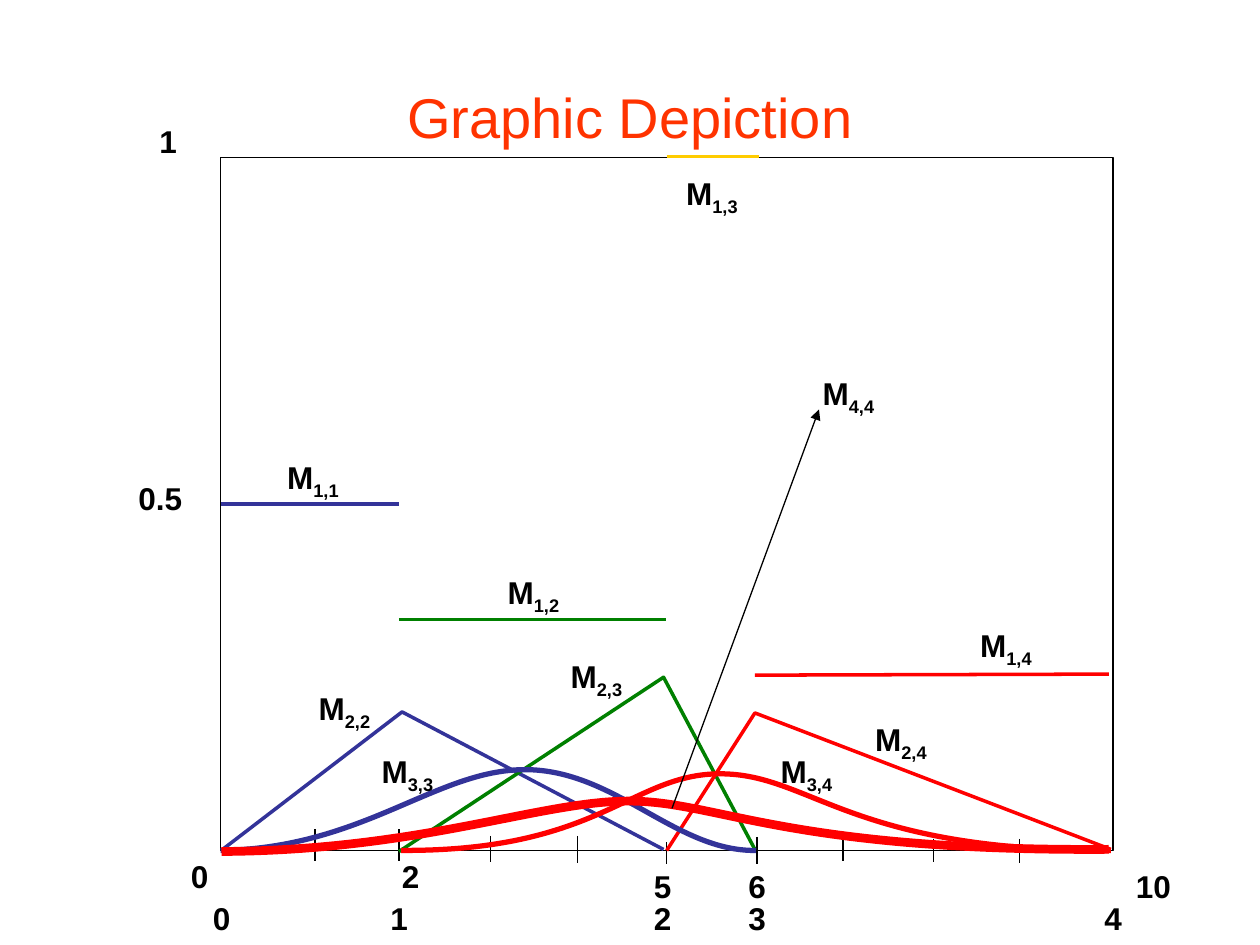
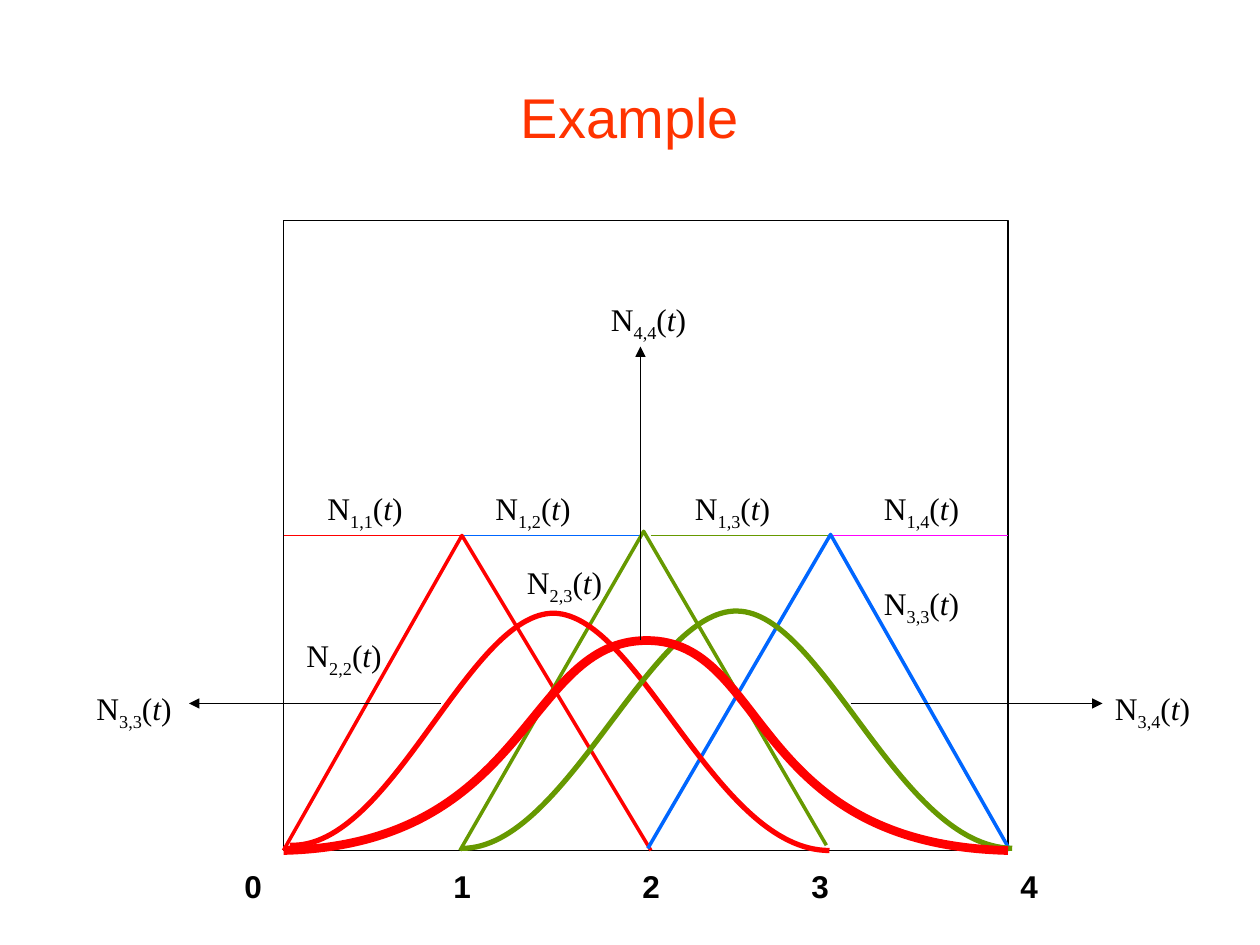
from lxml import etree
from pptx import Presentation
from pptx.dml.color import RGBColor
from pptx.enum.shapes import MSO_CONNECTOR, MSO_SHAPE
from pptx.enum.text import MSO_ANCHOR, MSO_AUTO_SIZE, PP_ALIGN
from pptx.oxml.ns import qn
from pptx.util import Inches, Pt

COLORS = {
    "title": "FF3300", "ink": "000000", "navy": "333399", "green": "008000",
    "gold": "FFCC00", "red": "FF0000", "blue": "0066FF", "olive": "669900",
    "magenta": "FF00FF",
}
COLUMNS, ROWS = 120, 90
CELL = Inches(10) / COLUMNS
BASELINE = 81
THIN, LINEAR, QUADRATIC, CUBIC = 0.75, 2, 3, 5
NUMBER_WIDTHS = {1: 4.1, 2: 5.8, 3: 6.6}


def grid(*values):
    """Turn grid columns or rows into lengths."""
    return [round(v * CELL) for v in values]


def color(name):
    return RGBColor.from_string(COLORS[name])


def style_line(sp, name, width):
    sp.line.color.rgb = color(name)
    sp.line.width = Pt(width)


def add_titled_slide(prs, title):
    slide = prs.slides.add_slide(prs.slide_layouts[5])
    sp = slide.shapes.title
    sp.left, sp.top, sp.width, sp.height = grid(6, 3.6, 108, 15)
    tf = sp.text_frame
    tf.text = title
    tf.vertical_anchor = MSO_ANCHOR.MIDDLE
    p = tf.paragraphs[0]
    p.alignment = PP_ALIGN.CENTER
    font = p.runs[0].font
    font.name, font.size, font.color.rgb = "Arial", Pt(32), color("title")
    return slide


def add_frame(slide, left, top, width, height):
    sp = slide.shapes.add_shape(MSO_SHAPE.RECTANGLE, *grid(left, top, width, height))
    sp.shadow.inherit = False
    sp.fill.background()
    style_line(sp, "ink", THIN)


def add_segment(slide, start, end, name="ink", width=THIN, arrow=False):
    sp = slide.shapes.add_connector(MSO_CONNECTOR.STRAIGHT, *grid(*start, *end))
    style_line(sp, name, width)
    if arrow:
        etree.SubElement(sp.line._get_or_add_ln(), qn("a:tailEnd"), type="triangle")
    etree.SubElement(sp._element.spPr, qn("a:effectLst"))


def add_polyline(slide, points, name, width=LINEAR):
    start, *rest = [grid(*point) for point in points]
    builder = slide.shapes.build_freeform(*start)
    builder.add_line_segments(rest, close=False)
    sp = builder.convert_to_shape()
    sp.shadow.inherit = False
    sp.fill.background()
    style_line(sp, name, width)
    return sp


def add_curve(slide, points, name, width):
    """Draw Bezier arcs: a start, then two handles and an end for each arc."""
    sp = add_polyline(slide, points, name, width)
    outline = next(sp._element.iter(qn("a:path")))
    lines = outline.findall(qn("a:lnTo"))
    for i in range(0, len(lines), 3):
        arc = etree.SubElement(outline, qn("a:cubicBezTo"))
        for line in lines[i:i + 3]:
            arc.append(line[0])
            outline.remove(line)


def add_text(slide, box, runs, face, bold=False, wrap=False):
    """Add one line of text; runs are (text, style) with style "", "sub" or "italic"."""
    tf = slide.shapes.add_textbox(*grid(*box)).text_frame
    tf.word_wrap = wrap
    tf.auto_size = MSO_AUTO_SIZE.SHAPE_TO_FIT_TEXT
    for text, style in runs:
        r = tf.paragraphs[0].add_run()
        r.text = text
        font = r.font
        font.name, font.size, font.bold = face, Pt(18), bold
        font.color.rgb = color("ink")
        if style == "italic":
            font.italic = True
        elif style == "sub":
            r._r.get_or_add_rPr().set("baseline", "-25000")


def add_number(slide, text, left, top):
    box = (left, top, NUMBER_WIDTHS[len(text)], 4.8)
    add_text(slide, box, [(text, "")], "Arial", bold=True)


def add_m_label(slide, index, left, top):
    box = (left + 0.16, top, 7.3, 5.3)
    add_text(slide, box, [("M", ""), (index, "sub")], "Arial", bold=True)


def add_n_label(slide, index, left, top):
    runs = [("N", ""), (index, "sub"), ("(", ""), ("t", "italic"), (")", "")]
    add_text(slide, (left, top, 10.5, 4.5), runs, "Times New Roman", wrap=True)


def build_depiction(prs):
    slide = add_titled_slide(prs, "Graphic Depiction")
    add_frame(slide, 21, 15, 85, 66)

    ticks = [(30, 79, 82), (38, 79, 82), (46.7, 79.6, 82.1), (55, 79.6, 82.2),
             (63.5, 80.2, 82.3), (72.1, 79.7, 82.3), (80.3, 79.8, 82),
             (88.9, 79.9, 82.1), (97.1, 79.9, 82.2)]
    for x, top, bottom in ticks:
        add_segment(slide, (x, top), (x, bottom))

    axis_numbers = [("0", 17, 81), ("2", 37.1, 81), ("5", 61.1, 82), ("6", 70.1, 82),
                    ("10", 107, 82), ("1", 14, 11), ("0.5", 12, 45)]
    knots = [19.1, 36, 61.1, 70.1, 104]
    for number in axis_numbers + [(str(i), x, 85) for i, x in enumerate(knots)]:
        add_number(slide, *number)

    steps = [((21, 48), (38, 48), "navy"), ((38, 59), (63.4, 59), "green"),
             ((63.5, 14.9), (72.3, 14.9), "gold"),
             ((71.9, 64.3), (105.6, 64.2), "red")]
    for start, end, name in steps:
        add_segment(slide, start, end, name, LINEAR)

    hats = [([(21.2, 80.9), (38.3, 67.8), (63.2, 80.9)], "navy"),
            ([(38, 81.1), (63.2, 64.5), (71.9, 80.9)], "green"),
            ([(63.5, BASELINE), (71.9, 67.9), (105.8, 80.9)], "red")]
    for points, name in hats:
        add_polyline(slide, points, name)

    bells = [
        ([(21, BASELINE), (34.6, 80.8), (41.5, 73.3), (50, 73.3),
          (58.6, 73.3), (64.3, 81.1), (72, BASELINE)], "navy", QUADRATIC),
        ([(38.2, BASELINE), (57.2, 81.1), (60.1, 73.7), (68.6, 73.7),
          (77.2, 73.7), (80.9, 81.1), (105.8, BASELINE)], "red", QUADRATIC),
        ([(21.1, 81.1), (40.2, BASELINE), (51.4, 76.3), (59.9, 76.3),
          (68.4, 76.3), (74.9, 81.1), (105.6, 80.9)], "red", CUBIC),
    ]
    for points, name, width in bells:
        add_curve(slide, points, name, width)

    labels = [("1,1", 26, 43), ("1,2", 47, 54), ("1,3", 64, 16), ("1,4", 92, 59),
              ("2,2", 29, 65), ("2,3", 53, 62), ("2,4", 82, 68),
              ("3,3", 35, 71), ("3,4", 73, 71), ("4,4", 77, 35)]
    for label in labels:
        add_m_label(slide, *label)
    add_segment(slide, (64, 77), (78, 39), arrow=True)


def build_example(prs):
    slide = add_titled_slide(prs, "Example")
    add_frame(slide, 27, 21, 69, 60)
    for i, x in enumerate([22.1, 42, 60, 76.1, 96]):
        add_number(slide, str(i), x, 82)

    step_starts = [(27, "red"), (44, "blue"), (62, "olive"), (79, "magenta")]
    for x, name in step_starts:
        add_segment(slide, (x, 51), (x + 17, 51), name, 1)

    hats = [([(27, BASELINE), (44, 51), (62, BASELINE)], "red"),
            ([(43.8, BASELINE), (61.3, 50.6), (78.7, 80.5)], "olive"),
            ([(61.7, 80.8), (79.1, 50.9), (96.2, BASELINE)], "blue")]
    for points, name in hats:
        add_polyline(slide, points, name)

    bells = [
        ([(27.6, 80.5), (37.3, 80.9), (44.6, 58.3), (52.8, 58.4),
          (61, 58.7), (68.2, BASELINE), (79, BASELINE)], "red", QUADRATIC),
        ([(44, 80.8), (53.9, 80.8), (61.9, 58), (70.2, 58.2),
          (78.4, 58.3), (85.6, 80.6), (96.4, 80.8)], "olive", QUADRATIC),
        ([(27, BASELINE), (50.5, 80.4), (50, 61), (61.6, 61),
          (73.1, 61), (71.4, 80.4), (96, BASELINE)], "red", CUBIC),
    ]
    for points, name, width in bells:
        add_curve(slide, points, name, width)

    labels = [("1,1", 30, 46), ("1,2", 46, 46), ("1,3", 65, 46), ("1,4", 83, 46),
              ("2,2", 28, 60), ("2,3", 49, 53), ("3,3", 83, 55),
              ("3,3", 8, 65), ("3,4", 105, 65), ("4,4", 57, 28)]
    for label in labels:
        add_n_label(slide, *label)

    pointers = [((61, 61), (61, 33)), ((42, 67), (18, 67)), ((81, 67), (105, 67))]
    for start, end in pointers:
        add_segment(slide, start, end, arrow=True)


def main():
    prs = Presentation()
    prs.slide_width, prs.slide_height = grid(COLUMNS, ROWS)
    build_depiction(prs)
    build_example(prs)
    prs.save("out.pptx")


if __name__ == "__main__":
    main()
